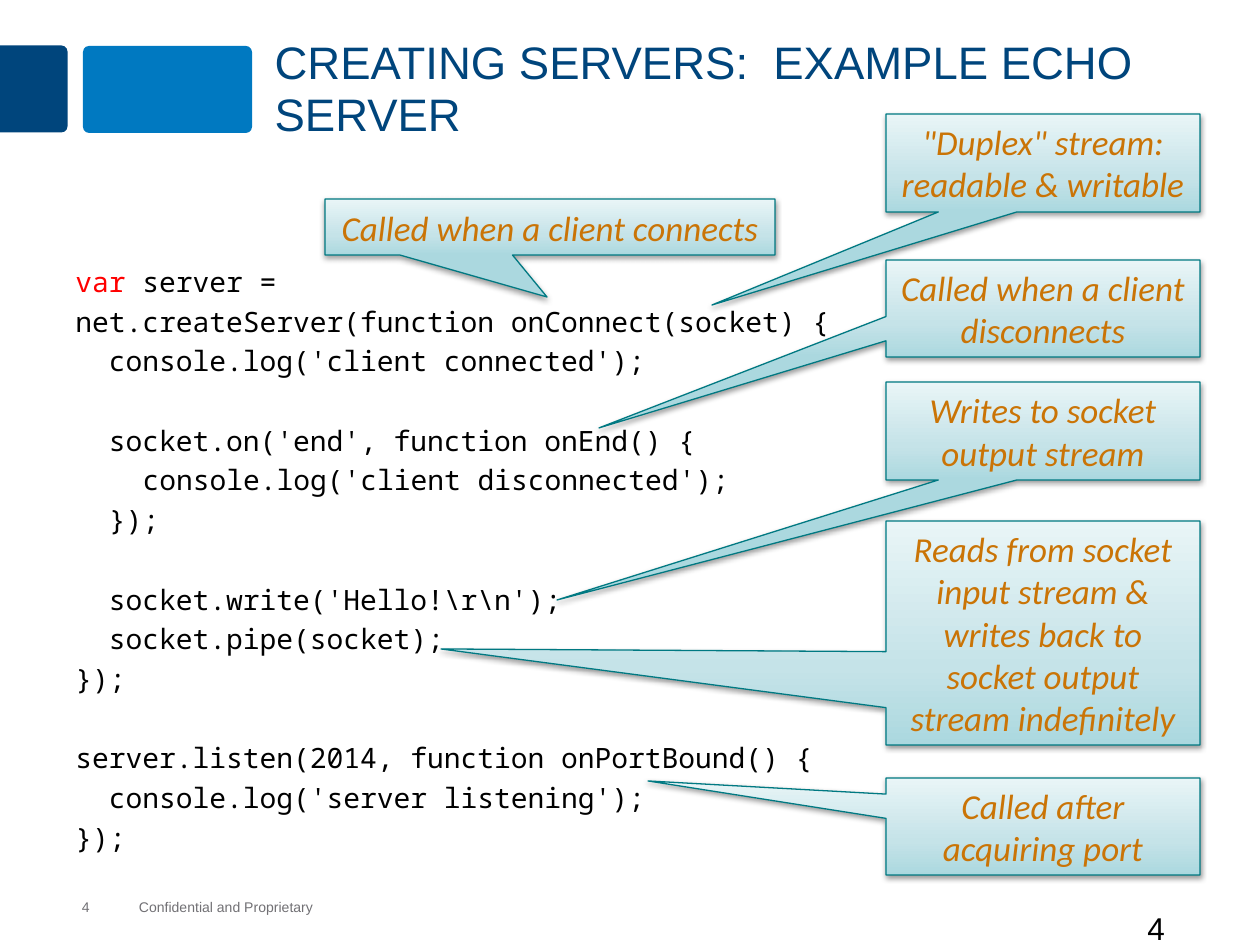
from copy import deepcopy

from pptx import Presentation
from pptx.dml.color import RGBColor
from pptx.enum.shapes import MSO_SHAPE
from pptx.enum.text import MSO_ANCHOR, MSO_AUTO_SIZE, PP_ALIGN
from pptx.oxml import parse_xml
from pptx.oxml.ns import nsdecls, qn
from pptx.util import Emu, Pt

NAVY, BLUE, GREY, BLACK, RED = "00457C", "0079C1", "717074", "000000", "FF0000"
TEAL, ORANGE = "007982", "CA7406"
GRADIENT = [(0, "ABD8DF"), (0.35, "C5E3E8"), (1, "E9F5F7")]
SHADOW = (
    f'<a:outerShdw {nsdecls("a")} blurRad="40000" dist="20000" dir="5400000" rotWithShape="0">'
    '<a:srgbClr val="000000"><a:alpha val="38000"/></a:srgbClr></a:outerShdw>'
)

CODE = [
    (0, [("var ", RED), ("server =", BLACK)]),
    (0, [("net.createServer(function onConnect(socket) {", BLACK)]),
    (1, [("console.log('client connected');", BLACK)]),
    None,
    (1, [("socket.on('end', function onEnd() {", BLACK)]),
    (2, [("console.log('client disconnected');", BLACK)]),
    (1, [("});", BLACK)]),
    None,
    (1, [("socket.write('Hello!\\r\\n');", BLACK)]),
    (1, [("socket.pipe(socket);", BLACK)]),
    (0, [("});", BLACK)]),
    None,
    (0, [("server.listen(2014, function onPortBound() {", BLACK)]),
    (1, [("console.log('server listening');", BLACK)]),
    (0, [("});", BLACK)]),
]

SIDE_X, SIDE_W = 886, 314
CALLOUTS = [
    ((SIDE_X, 114, SIDE_W, 98), (712, 305), '"Duplex" stream: readable & writable'),
    ((SIDE_X, 260, SIDE_W, 97), (599, 428), "Called when a client disconnects"),
    ((SIDE_X, 382, SIDE_W, 98), (557, 600), "Writes to socket output stream"),
    ((SIDE_X, 521, SIDE_W, 224), (441, 649),
     "Reads from socket input stream & writes back to socket output stream indefinitely"),
    ((SIDE_X, 778, SIDE_W, 97), (648, 781), "Called after acquiring port"),
    ((325, 199, 450, 56), (547, 297), "Called when a client connects"),
]


def px(n):
    return Emu(round(n * 914400 / 126))


def rgb(color):
    return RGBColor.from_string(color)


class Deck:
    """Holds the presentation, the current slide and the shared style."""

    def __init__(self, width, height):
        self.prs = Presentation()
        self.prs.slide_width, self.prs.slide_height = px(width), px(height)
        self.s = self.prs.slides.add_slide(self.prs.slide_layouts[5])

    def run(self, p, text, size, color, font="Arial", italic=False):
        r = p.add_run()
        r.text = text
        r.font.size, r.font.name, r.font.italic = Pt(size), font, italic
        r.font.color.rgb = rgb(color)

    def title(self, box, text):
        sp = self.s.shapes.title
        sp.left, sp.top, sp.width, sp.height = map(px, box)
        tf = sp.text_frame
        tf.auto_size, tf.vertical_anchor = MSO_AUTO_SIZE.NONE, MSO_ANCHOR.TOP
        p = tf.paragraphs[0]
        p.alignment, p.line_spacing = PP_ALIGN.LEFT, 0.95
        self.run(p, text, 26, NAVY)

    def block(self, kind, box, color, radius, rotation=0):
        sp = self.s.shapes.add_shape(kind, *map(px, box))
        sp.adjustments[0] = radius
        sp.rotation = rotation
        sp.shadow.inherit = False
        sp.fill.solid()
        sp.fill.fore_color.rgb = rgb(color)
        sp.line.fill.background()

    def frame(self, box):
        tf = self.s.shapes.add_textbox(*map(px, box)).text_frame
        tf.word_wrap = True
        return tf

    def label(self, box, text, size, color):
        self.run(self.frame(box).paragraphs[0], text, size, color)

    def footer(self, box, text):
        tf = self.frame(box)
        tf.margin_left = tf.margin_right = tf.margin_top = tf.margin_bottom = 0
        tf.vertical_anchor = MSO_ANCHOR.MIDDLE
        self.run(tf.paragraphs[0], text, 8, GREY)

    def code(self, box, lines, size=16, gap=3.6, pitch=22.45):
        tf = self.frame(box)
        p, before = tf.paragraphs[0], gap
        for i, line in enumerate(lines):
            if line is None:
                before += pitch
                continue
            level, runs = line
            p = tf.add_paragraph() if i else p
            p.space_before = Pt(before)
            p._p.get_or_add_pPr().set("marL", str(Pt(level * 2 * size * 0.6)))
            for text, color in runs:
                self.run(p, text, size, color, "Noto Sans Mono")
            before = gap

    def callout(self, box, tip, text):
        x, y, w, h = box
        sp = self.s.shapes.add_shape(MSO_SHAPE.RECTANGULAR_CALLOUT, *map(px, box))
        sp.adjustments[0] = (tip[0] - x - w / 2) / w
        sp.adjustments[1] = (tip[1] - y - h / 2) / h
        sp.fill.gradient()
        sp.fill.gradient_angle = 90
        stops = sp.element.spPr.find(".//" + qn("a:gsLst"))
        stops.append(deepcopy(stops[0]))
        for stop, (position, color) in zip(sp.fill.gradient_stops, GRADIENT):
            stop.position = position
            stop.color.rgb = rgb(color)
        sp.line.color.rgb = rgb(TEAL)
        sp.line.width = Pt(0.75)
        sp.shadow.inherit = False
        sp.element.spPr.find(qn("a:effectLst")).append(parse_xml(SHADOW))
        tf = sp.text_frame
        tf.word_wrap = True
        p = tf.paragraphs[0]
        p.alignment = PP_ALIGN.CENTER
        self.run(p, text, 20, ORANGE, "Calibri", True)


def main():
    d = Deck(1260, 945)
    d.block(MSO_SHAPE.ROUND_2_SAME_RECTANGLE, (-10, 55, 87, 68), NAVY, 0.09, 90)
    d.block(MSO_SHAPE.ROUNDED_RECTANGLE, (83, 46, 169, 87), BLUE, 0.07)
    d.footer((139, 899, 176, 16), "Confidential and Proprietary")
    d.footer((82, 899, 50, 16), "4")
    d.title((262, 32, 966, 115), "CREATING SERVERS:  EXAMPLE ECHO SERVER")
    d.label((1135, 903, 125, 63), "4", 18, BLACK)
    d.code((63, 258, 800, 616), CODE)
    for box, tip, text in CALLOUTS:
        d.callout(box, tip, text)
    d.prs.save("out.pptx")


if __name__ == "__main__":
    main()
